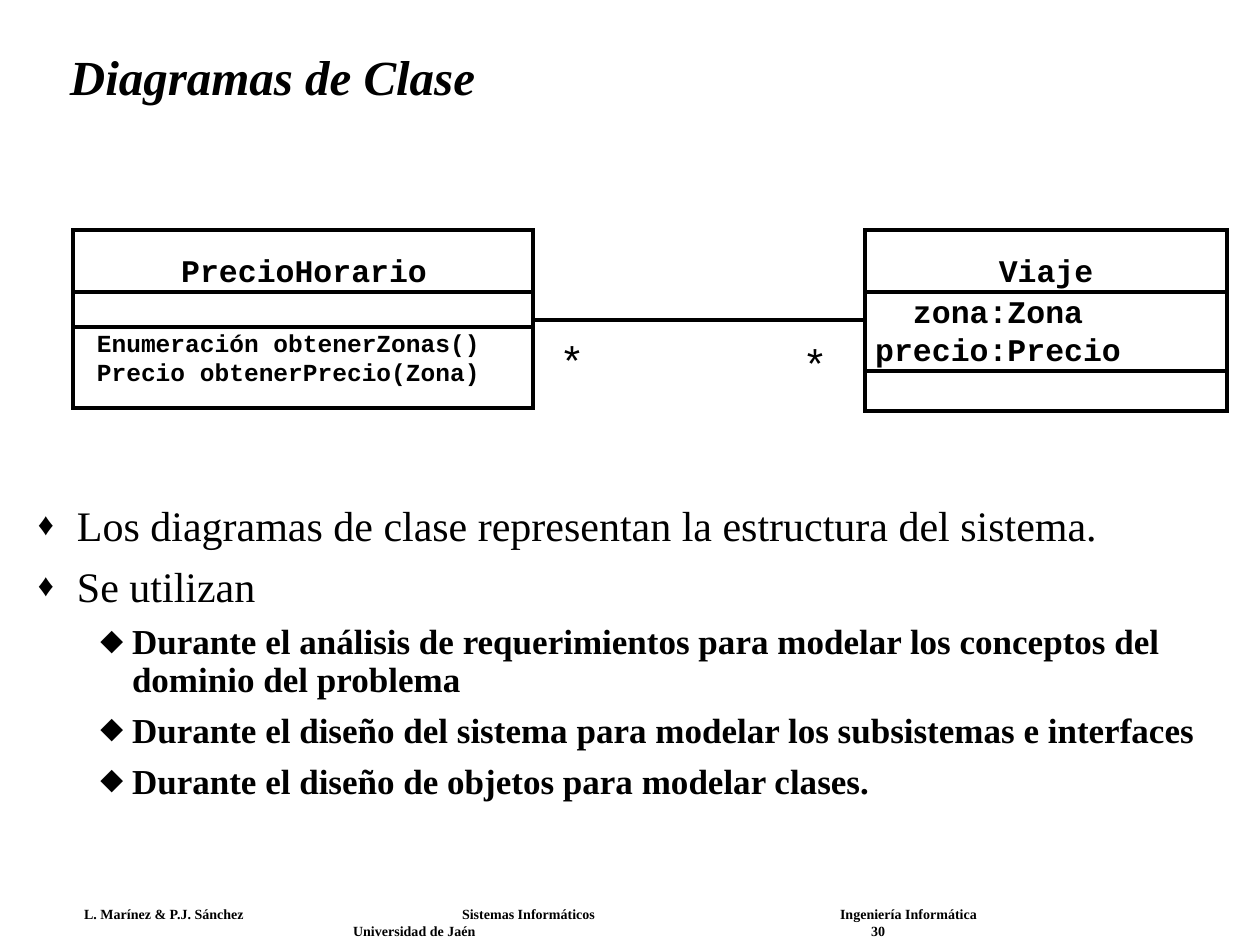
from lxml import etree
from pptx import Presentation
from pptx.dml.color import RGBColor
from pptx.enum import shapes, text
from pptx.oxml.ns import qn
from pptx.util import Pt

PX = 914400 / 126
BLACK, WHITE = "000000", "FFFFFF"
CENTER = text.PP_ALIGN.CENTER
MIDDLE = text.MSO_ANCHOR.MIDDLE

SERIF = {"name": "Times New Roman"}
MONO = {"name": "Courier New", "bold": True}
TITLE = {**SERIF, "size": Pt(28), "bold": True, "italic": True}
TOPIC = {**SERIF, "size": Pt(24)}
DETAIL = {**SERIF, "size": Pt(20), "bold": True}
FOOTER = {**SERIF, "size": Pt(8), "bold": True}
MEMBER = {**MONO, "size": Pt(18)}
METHOD = {**MONO, "size": Pt(14)}
STAR = {"name": "Arial", "size": Pt(24)}

CLASSES = [
    {"left": 73, "width": 460, "rows": [230, 292, 327, 408]},
    {"left": 865, "width": 362, "rows": [230, 292, 371, 411]},
]
LABELS = [
    ((174, 251, 260, 38), ["PrecioHorario"], MEMBER),
    ((986, 251, 120, 38), ["Viaje"], MEMBER),
    ((868, 292, 260, 76), ["zona:Zona", "precio:Precio"], MEMBER),
]
METHODS = ["Enumeración obtenerZonas()", "Precio obtenerPrecio(Zona)"]
STARS = [(551, 327, 42, 63), (794, 330, 42, 63)]
LEVELS = [
    {"indent": 39, "hang": 39, "mark": "♦", "percent": 75, "before": 9, "font": TOPIC},
    {"indent": 94, "hang": 32, "mark": "⬥", "percent": 100, "before": 7.5, "font": DETAIL},
]
POINTS = [
    (0, "Los diagramas de clase representan la estructura del sistema."),
    (0, "Se utilizan"),
    (1, "Durante el análisis de requerimientos para modelar los conceptos del dominio del problema"),
    (1, "Durante el diseño del sistema para modelar los subsistemas e interfaces"),
    (1, "Durante el diseño de objetos para modelar clases."),
]
FOOTER_LINES = [
    ("L. Marínez & P.J. Sánchez\tSistemas Informáticos\tIngeniería Informática", [378, 756]),
    ("\tUniversidad de Jaén\t30", [269, 787]),
]


def px(value):
    return round(value * PX)


def color(value):
    return RGBColor.from_string(value)


def set_font(para, values):
    for key, value in values.items():
        setattr(para.font, key, value)
    para.font.color.rgb = color(BLACK)


def add_text(page, place, lines, font, margins=(0, 0), wrap=True, **layout):
    box = page.shapes.add_textbox(*map(px, place))
    frame = box.text_frame
    frame.word_wrap = wrap
    frame.vertical_anchor = layout.get("anchor", text.MSO_ANCHOR.TOP)
    frame.margin_left = frame.margin_right = px(margins[0])
    frame.margin_top = frame.margin_bottom = px(margins[1])
    for index, line in enumerate(lines):
        para = frame.paragraphs[0] if index == 0 else frame.add_paragraph()
        para.text = line
        para.alignment = layout.get("align", text.PP_ALIGN.LEFT)
        para.line_spacing = layout.get("spacing", 1.0)
        set_font(para, font)
    return frame.paragraphs


def add_child(parent, tag, **values):
    return etree.SubElement(parent, qn(tag), values)


def add_bullet(para, level):
    props = para._p.get_or_add_pPr()
    props.set("marL", str(px(level["indent"])))
    props.set("indent", str(-px(level["hang"])))
    add_child(add_child(props, "a:buClr"), "a:srgbClr", val=BLACK)
    add_child(props, "a:buSzPct", val=str(level["percent"] * 1000))
    add_child(props, "a:buFont", typeface="Times New Roman")
    add_child(props, "a:buChar", char=level["mark"])


def add_tabs(para, stops):
    tabs = add_child(para._p.get_or_add_pPr(), "a:tabLst")
    for stop in stops:
        add_child(tabs, "a:tab", pos=str(px(stop)), algn="l")


def style_line(shape):
    shape.line.color.rgb = color(BLACK)
    shape.line.width = Pt(2.25)
    add_child(shape._element.spPr.find(qn("a:ln")), "a:miter", lim="800000")


def add_class(page, item):
    for top, bottom in zip(item["rows"], item["rows"][1:]):
        place = (item["left"], top, item["width"], bottom - top)
        row = page.shapes.add_shape(shapes.MSO_SHAPE.RECTANGLE, *map(px, place))
        row.shadow.inherit = False
        row.fill.background()
        style_line(row)


def add_association(page, start, end, top):
    link = page.shapes.add_connector(
        shapes.MSO_CONNECTOR.STRAIGHT, *map(px, (start, top, end, top)))
    style_line(link)
    add_child(link._element.spPr, "a:effectLst")


def main():
    deck = Presentation()
    deck.slide_width, deck.slide_height = px(1260), px(945)
    page = deck.slides.add_slide(deck.slide_layouts[6])
    page.background.fill.solid()
    page.background.fill.fore_color.rgb = color(WHITE)

    add_text(page, (57, 31, 1124, 97), ["Diagramas de Clase"], TITLE,
             (13, 6), anchor=MIDDLE, spacing=0.9)
    for item in CLASSES:
        add_class(page, item)
    first, second = CLASSES
    add_association(page, first["left"] + first["width"], second["left"], 320)
    for place, lines, font in LABELS:
        add_text(page, place, lines, font, align=CENTER)
    add_text(page, (84, 322, 456, 68), METHODS, METHOD, (13, 6))
    for place in STARS:
        add_text(page, place, ["*"], STAR, (13, 6), False, align=CENTER, anchor=MIDDLE)

    paras = add_text(page, (25, 499, 1201, 358), [line for _, line in POINTS],
                     TOPIC, (13, 6), spacing=0.9)
    for index, (para, (depth, _)) in enumerate(zip(paras, POINTS)):
        level = LEVELS[depth]
        para.level = depth
        para.space_before = Pt(level["before"] if index else 0)
        add_bullet(para, level)
        set_font(para, level["font"])

    paras = add_text(page, (74, 901, 1090, 42), [line for line, _ in FOOTER_LINES],
                     FOOTER, (10, 5))
    for para, (_, stops) in zip(paras, FOOTER_LINES):
        add_tabs(para, stops)

    deck.save("out.pptx")


if __name__ == "__main__":
    main()
